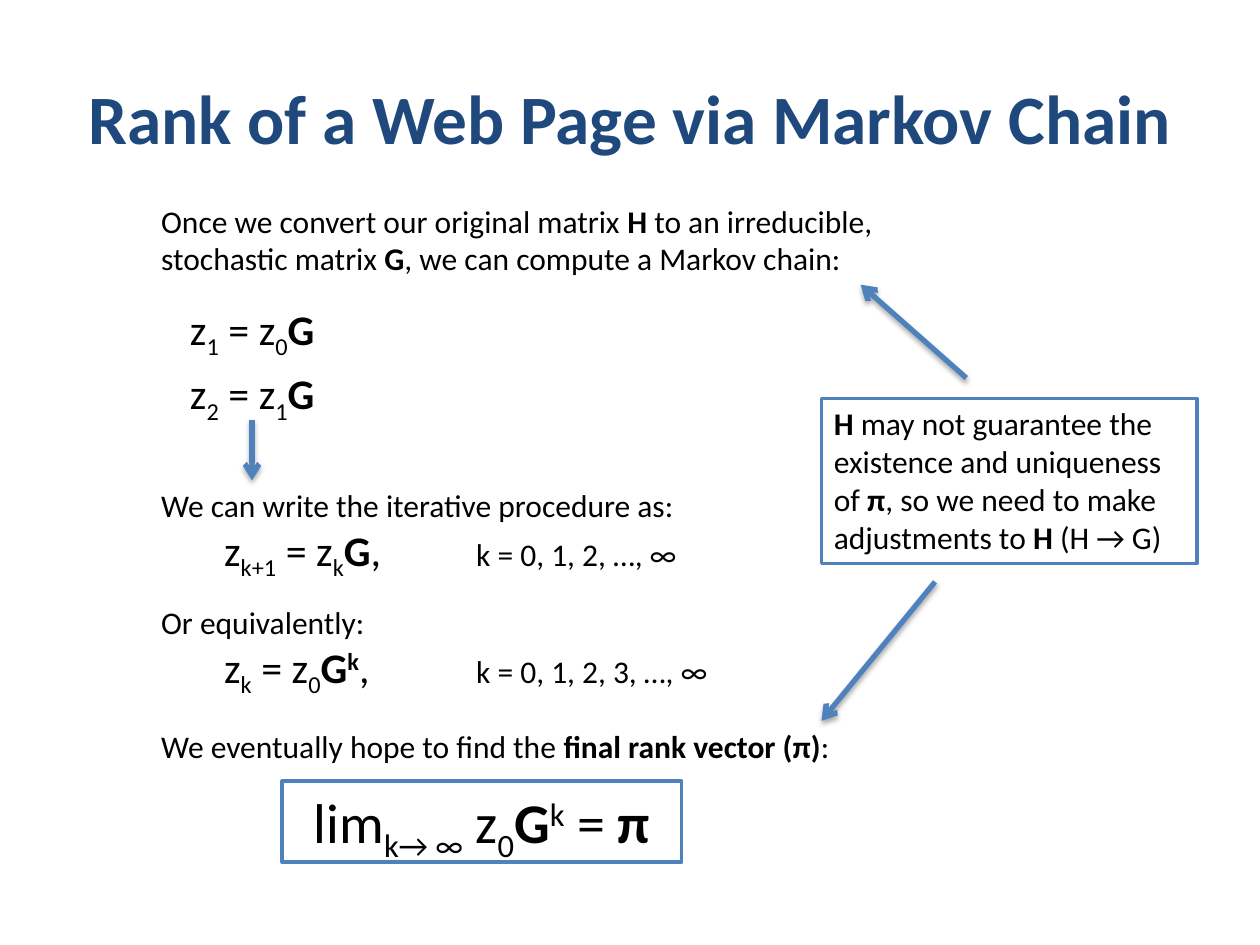
from dataclasses import dataclass

import pptx
import pptx.dml.color
import pptx.enum.shapes
import pptx.enum.text
import pptx.oxml
import pptx.oxml.ns
import pptx.util
from pptx.util import Cm, Pt

ALIGN = pptx.enum.text.PP_ALIGN
ANCHOR = pptx.enum.text.MSO_ANCHOR


@dataclass(frozen=True)
class Theme:
    font: str = "Calibri"
    ink: str = "000000"
    navy: str = "1F497D"
    blue: str = "4F81BD"
    paper: str = "FFFFFF"
    title: float = 39.6
    body: float = 18
    math: float = 24
    limit: float = 32


THEME = Theme()
SHIFT = {"_": "-25000", "^": "30000"}


def rgb(code):
    return pptx.dml.color.RGBColor.from_string(code)


def write(shape, *lines, size=THEME.body, color=THEME.ink, align=ALIGN.LEFT,
          anchor=ANCHOR.TOP, gap=0):
    """Fill a shape; a line is a list of (text, marks, size) runs.

    Marks are b for bold, _ for subscript, ^ for superscript; marks and size
    may be left out. Gap is the space between lines in points.
    """
    frame = shape.text_frame
    frame.word_wrap = True
    frame.vertical_anchor = anchor
    for i, line in enumerate(lines):
        para = frame.paragraphs[0] if i == 0 else frame.add_paragraph()
        para.alignment = align
        if i:
            para.space_before = Pt(gap)
        for text, *style in line:
            marks = style[0] if style else ""
            run = para.add_run()
            run.text = text
            font = run.font
            font.name = THEME.font
            font.size = Pt(style[1] if len(style) > 1 else size)
            font.bold = "b" in marks
            font.color.rgb = rgb(color)
            for mark in SHIFT:
                if mark in marks:
                    font._element.set("baseline", SHIFT[mark])


def area(slide, x, y, w, h):
    return slide.shapes.add_textbox(Cm(x), Cm(y), Cm(w), Cm(h))


def frame(slide, x, y, w, h):
    kind = pptx.enum.shapes.MSO_SHAPE.RECTANGLE
    box = slide.shapes.add_shape(kind, Cm(x), Cm(y), Cm(w), Cm(h))
    box.shadow.inherit = False
    box.fill.solid()
    box.fill.fore_color.rgb = rgb(THEME.paper)
    box.line.color.rgb = rgb(THEME.blue)
    box.line.width = Pt(2)
    return box


def arrow(slide, x1, y1, x2, y2):
    kind = pptx.enum.shapes.MSO_CONNECTOR.STRAIGHT
    line = slide.shapes.add_connector(kind, Cm(x1), Cm(y1), Cm(x2), Cm(y2))
    line.line.color.rgb = rgb(THEME.blue)
    line.line.width = Pt(3)
    space = pptx.oxml.ns.nsdecls("a")
    line.line._get_or_add_ln().append(
        pptx.oxml.parse_xml(f'<a:tailEnd {space} type="arrow"/>'))
    line._element.spPr.append(pptx.oxml.parse_xml(
        f'<a:effectLst {space}><a:outerShdw blurRad="{Pt(3.1)}" '
        f'dist="{Pt(1.8)}" dir="5400000" rotWithShape="0">'
        f'<a:srgbClr val="{THEME.ink}"><a:alpha val="35000"/></a:srgbClr>'
        '</a:outerShdw></a:effectLst>'))


def title(slide, x, y, w, h):
    write(area(slide, x, y, w, h),
          [("Rank of a Web Page via Markov Chain", "b")],
          size=THEME.title, color=THEME.navy, align=ALIGN.CENTER,
          anchor=ANCHOR.MIDDLE)


def chain(slide, x, y, w):
    """Introduction, first two steps and the arrow leading on."""
    write(area(slide, x, y, w, 1.8),
          [("Once we convert our original matrix ",), ("H", "b"),
           (" to an irreducible, stochastic matrix ",), ("G", "b"),
           (", we can compute a Markov chain:",)])
    steps = [[("z",), (str(n), "_"), (" = z",), (str(n - 1), "_"), ("G", "b")]
             for n in (1, 2)]
    write(area(slide, x + 0.58, y + 2.05, 4.24, 3.07), *steps,
          size=THEME.math, gap=4)
    arrow(slide, x + 2.08, y + 4.52, x + 2.08, y + 5.74)


def rule(slide, x, y, w, lead, math, span):
    """A lead-in line above an indented formula with its range."""
    write(area(slide, x, y, w, 2.06),
          [(lead, "", THEME.body)],
          [("\t", "", THEME.body), *math, (",\t\t",), (span, "", THEME.body)],
          size=THEME.math)


def result(slide, x, y, w):
    write(area(slide, x, y, w, 1.02),
          [("We eventually hope to find the ",),
           ("final rank vector (π)", "b"), (":",)])
    write(frame(slide, x + 2.69, y + 1.22, 8.05, 1.63),
          [("lim",), ("k→ ∞", "_"), (" z",), ("0", "_"), ("G", "b"),
           ("k", "^"), (" = ",), ("π", "b")],
          size=THEME.limit, align=ALIGN.CENTER)


def note(slide, x, y, w, h):
    """Framed remark with arrows to the introduction and the result."""
    write(frame(slide, x, y, w, h),
          [("H", "b"), (" may not guarantee the existence and uniqueness of ",),
           ("π", "b"), (", so we need to make adjustments to ",),
           ("H", "b"), (" (H → G)",)])
    arrow(slide, x + 2.29, y + 3.7, x, y + 6.5)
    arrow(slide, x + 2.92, y - 0.41, x + 0.79, y - 2.29)


def main():
    deck = pptx.Presentation()
    deck.slide_width, deck.slide_height = Cm(25.4), Cm(19.05)
    slide = deck.slides.add_slide(deck.slide_layouts[6])
    left = 3
    title(slide, 1.27, 0.76, 22.86, 3.18)
    chain(slide, left, 3.94, 17.15)
    rule(slide, left, 9.68, 11.56, "We can write the iterative procedure as:",
         [("z",), ("k+1", "_"), (" = z",), ("k", "_"), ("G", "b")],
         "k = 0, 1, 2, …, ∞")
    rule(slide, left, 12.04, 11.56, "Or equivalently:",
         [("z",), ("k", "_"), (" = z",), ("0", "_"), ("G", "b"), ("k", "b^")],
         "k = 0, 1, 2, 3, …, ∞")
    result(slide, left, 14.53, 14.35)
    note(slide, 16.56, 8.03, 7.57, 3.33)
    deck.save("out.pptx")


if __name__ == "__main__":
    main()
